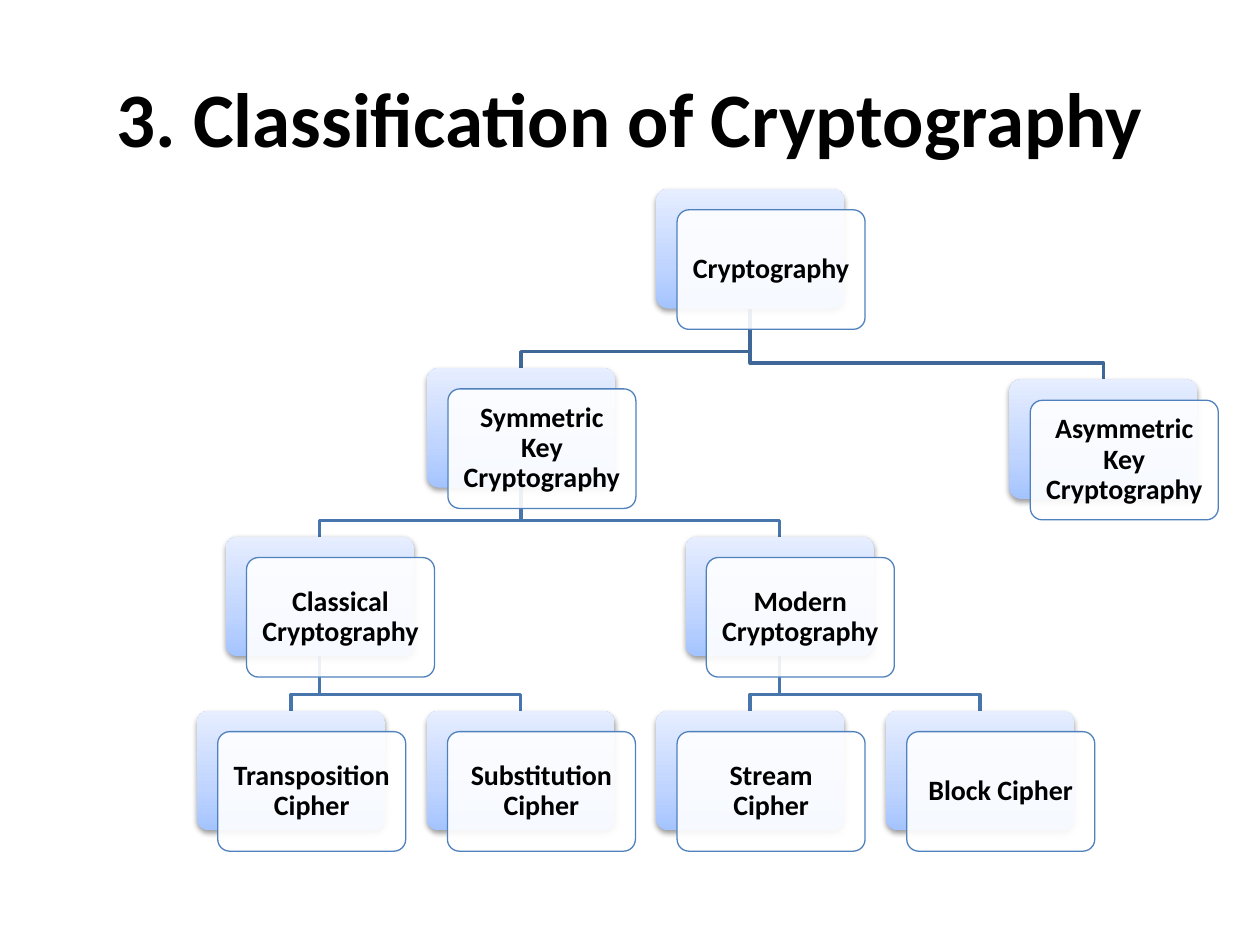
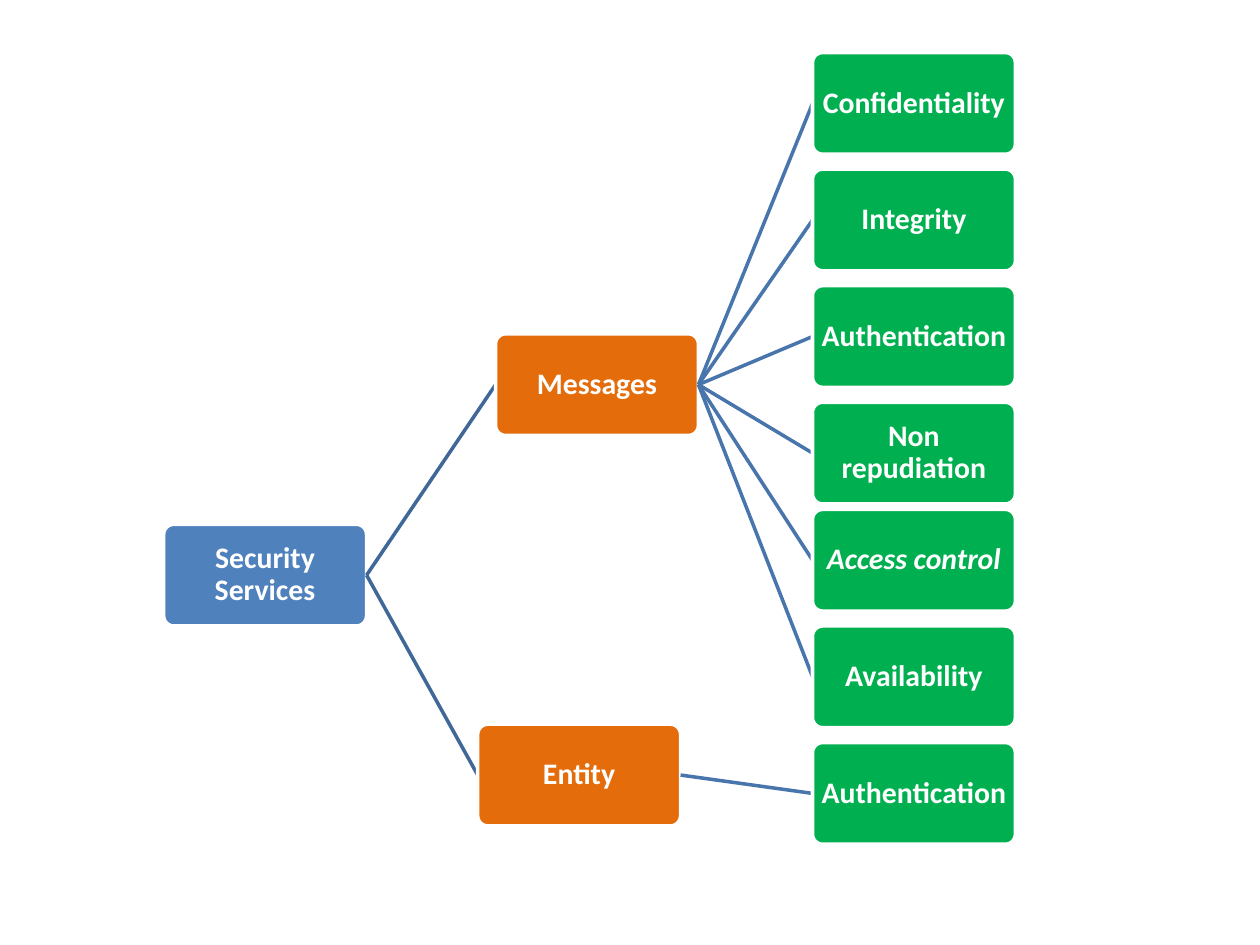
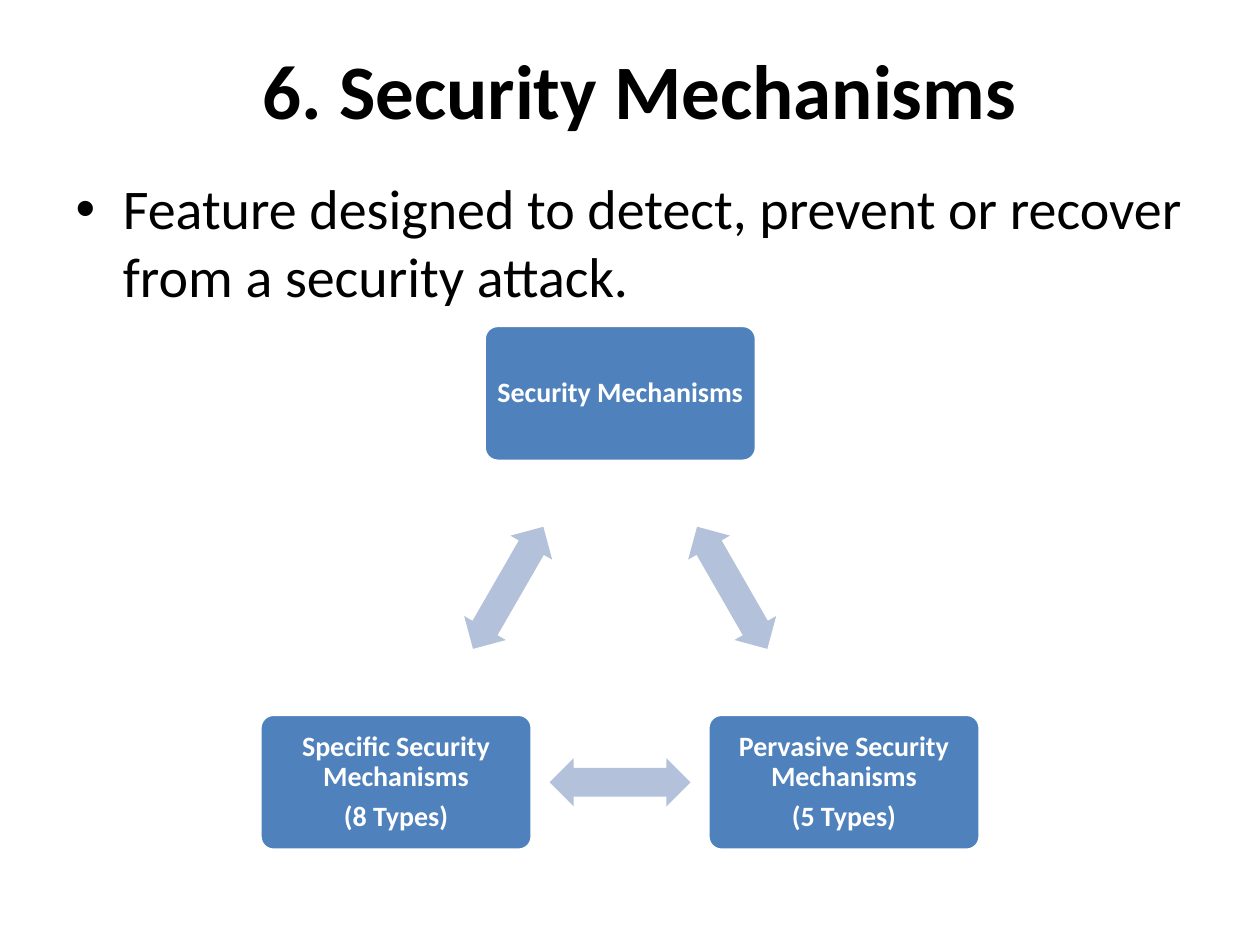
from math import atan2, degrees

from lxml.etree import SubElement
from pptx import Presentation
from pptx.dml.color import RGBColor
from pptx.enum.shapes import MSO_CONNECTOR, MSO_SHAPE
from pptx.enum.text import MSO_ANCHOR, PP_ALIGN
from pptx.oxml.ns import qn
from pptx.util import Cm, Pt

FONT = "Calibri"
COLORS = {
    "ink": "000000",
    "white": "FFFFFF",
    "blue": "4F81BD",
    "orange": "E46C0A",
    "green": "00B050",
    "arrow": "B3C1DB",
    "dark": "3F6797",
    "mid": "4875AC",
}
SHADE = [(0, "A4C4FF"), (35000, "BFD4FF"), (100000, "E6EEFF")]
CARD_W, CARD_H, SHIFT, DROP = 3.79, 2.41, 0.42, 0.33
NODE_W, NODE_H, STEP = 4.09, 2.05, 2.35
PART_W, PART_H = 5.49, 2.74

CARDS = {
    "root": ("Cryptography", 13.23, 3.81, None),
    "sym": ("Symmetric Key Cryptography", 8.61, 7.42, "root"),
    "asym": ("Asymmetric Key Cryptography", 20.35, 7.65, "root"),
    "old": ("Classical Cryptography", 4.55, 10.82, "sym"),
    "new": ("Modern Cryptography", 13.82, 10.82, "sym"),
}
LEAVES = [
    ("Transposition Cipher", "old"),
    ("Substitution Cipher", "old"),
    ("Stream Cipher", "new"),
    ("Block Cipher", "new"),
]
GOALS = ["Confidentiality", "Integrity", "Authentication", "Non repudiation",
         "Access control", "Availability", "Authentication"]
PARTS = [
    ("Security Mechanisms", 9.76, 6.56),
    ("Pervasive Security Mechanisms\n(5 Types)", 14.27, 14.4),
    ("Specific Security Mechanisms\n(8 Types)", 5.24, 14.4),
]


def rgb(name):
    return RGBColor.from_string(COLORS[name])


def node(parent, tag, **attrs):
    return SubElement(parent, qn(tag), {k: str(v) for k, v in attrs.items()})


def place(shape, x, y, w, h):
    shape.left, shape.top, shape.width, shape.height = map(Cm, (x, y, w, h))


def write(shape, text, size=16, color="ink", bold=True, italic=False,
          align=PP_ALIGN.CENTER, inset=None, gap=None, lead=None):
    frame = shape.text_frame
    frame.word_wrap = True
    if inset is not None:
        frame.vertical_anchor = MSO_ANCHOR.MIDDLE
        frame.margin_left = frame.margin_right = Cm(inset)
        frame.margin_top = frame.margin_bottom = Cm(inset)
    frame.text = text
    for para in frame.paragraphs:
        para.alignment = align
        if lead:
            para.line_spacing = lead
        font = para.runs[0].font
        font.name, font.size = FONT, Pt(size)
        font.bold, font.italic = bold, italic
        font.color.rgb = rgb(color)
    if gap:
        for para in frame.paragraphs[:-1]:
            para.space_after = Pt(gap)


def outline(shape, color, width):
    shape.line.color.rgb = rgb(color)
    shape.line.width = Pt(width)


def panel(slide, x, y, w, h, fill=None, kind=MSO_SHAPE.ROUNDED_RECTANGLE, adjust=(0.1,)):
    shape = slide.shapes.add_shape(kind, Cm(x), Cm(y), Cm(w), Cm(h))
    for i, value in enumerate(adjust):
        shape.adjustments[i] = value
    shape.shadow.inherit = False
    shape.line.fill.background()
    if fill:
        shape.fill.solid()
        shape.fill.fore_color.rgb = rgb(fill)
    return shape


def block(slide, text, x, y, w, h, fill, **style):
    shape = panel(slide, x, y, w, h, fill)
    outline(shape, "white", 2)
    write(shape, text, color="white", lead=0.9, **style)
    return shape


def shade(shape):
    shape.fill.gradient()
    shape.fill.gradient_angle = 90
    props = shape._element.spPr
    stops = props.find(".//" + qn("a:gsLst"))
    stops.clear()
    for pos, color in SHADE:
        node(node(stops, "a:gs", pos=pos), "a:srgbClr", val=color)
    glow = node(props.find(qn("a:effectLst")), "a:outerShdw", blurRad=40000,
                dist=20000, dir=5400000, rotWithShape=0)
    node(node(glow, "a:srgbClr", val=COLORS["ink"]), "a:alpha", val=38000)


def card(slide, text, x, y):
    shade(panel(slide, x, y, CARD_W, CARD_H))
    front = panel(slide, x + SHIFT, y + SHIFT, CARD_W, CARD_H, "white")
    tint = front._element.spPr.find(qn("a:solidFill") + "/" + qn("a:srgbClr"))
    node(tint, "a:alpha", val=90000)
    outline(front, "blue", 0.75)
    write(front, text, inset=0.18, lead=0.9)


def elbow(slide, start, end, color):
    (x1, y1), (x2, y2) = start, end
    bend = y2 - DROP
    pen = slide.shapes.build_freeform(Cm(x1), Cm(y1))
    points = [(x1, bend), (x2, bend), (x2, y2)]
    pen.add_line_segments([(Cm(x), Cm(y)) for x, y in points], close=False)
    shape = pen.convert_to_shape()
    shape.shadow.inherit = False
    shape.fill.background()
    outline(shape, color, 2)


def branch(slide, parent, text, x, y, fill, color, **style):
    link = slide.shapes.add_connector(MSO_CONNECTOR.STRAIGHT, 0, 0, Cm(x), Cm(y))
    outline(link, color, 2)
    node(link._element.spPr, "a:effectLst")
    child = block(slide, text, x, y, NODE_W, NODE_H, fill, size=17, inset=0.03, **style)
    link.begin_connect(parent, 3)
    link.end_connect(child, 1)
    return child


def start(deck, layout, title=None, x=1.27, y=0.76):
    slide = deck.slides.add_slide(deck.slide_layouts[layout])
    if title:
        place(slide.shapes.title, x, y, 22.86, 3.18)
        write(slide.shapes.title, title, size=44)
    return slide


def classes(deck):
    slide = start(deck, 5, "3. Classification of Cryptography")
    cards = dict(CARDS)
    for i, (text, parent) in enumerate(LEAVES):
        cards[text] = (text, 3.97 + 4.63 * i, 14.33, parent)
    for text, x, y, parent in cards.values():
        if parent:
            left, top = cards[parent][1:3]
            elbow(slide, (left + CARD_W / 2, top + CARD_H), (x + CARD_W / 2, y),
                  "dark" if parent == "root" else "mid")
    for text, x, y, parent in cards.values():
        card(slide, text, x, y)


def services(deck):
    slide = start(deck, 6)
    root = block(slide, "Security Services", 3.3, 10.57, NODE_W, NODE_H, "blue",
                 size=17, inset=0.03)
    mail = branch(slide, root, "Messages", 9.99, 6.73, "orange", "dark")
    unit = branch(slide, root, "Entity", 9.63, 14.6, "orange", "dark")
    for i, text in enumerate(GOALS):
        top = 1.06 + STEP * i if i < 4 else 10.27 + STEP * (i - 4)
        parent = unit if i == len(GOALS) - 1 else mail
        branch(slide, parent, text, 16.38, top, "green", "mid",
               italic=text == "Access control")


def means(deck):
    slide = start(deck, 1, "6. Security Mechanisms", 1.47, 0.2)
    body = slide.placeholders[1]
    place(body, 1.27, 3.38, 22.86, 13.64)
    write(body, "Feature designed to detect, prevent or recover from a security attack.",
          size=32, bold=False, align=None)
    for text, x, y in PARTS:
        block(slide, text, x, y, PART_W, PART_H, "blue", inset=0.18, gap=5.6)
    wide, high = 2.84, 0.97
    for (_, x1, y1), (_, x2, y2) in zip(PARTS, PARTS[1:] + PARTS[:1]):
        x, y = (x1 + x2 + PART_W - wide) / 2, (y1 + y2 + PART_H - high) / 2
        x, y = x + (PART_W - wide) / 2 - (PART_W - wide) / 2, y
        x, y = (x1 + x2) / 2 + (PART_W - wide) / 2, (y1 + y2) / 2 + (PART_H - high) / 2
        arrow = panel(slide, x, y, wide, high, "arrow",
                      MSO_SHAPE.LEFT_RIGHT_ARROW, (0.6, 0.5))
        arrow.rotation = degrees(atan2(y2 - y1, x2 - x1)) % 360


def main():
    deck = Presentation()
    deck.slide_width, deck.slide_height = Cm(25.4), Cm(19.05)
    classes(deck)
    services(deck)
    means(deck)
    deck.save("out.pptx")


if __name__ == "__main__":
    main()
